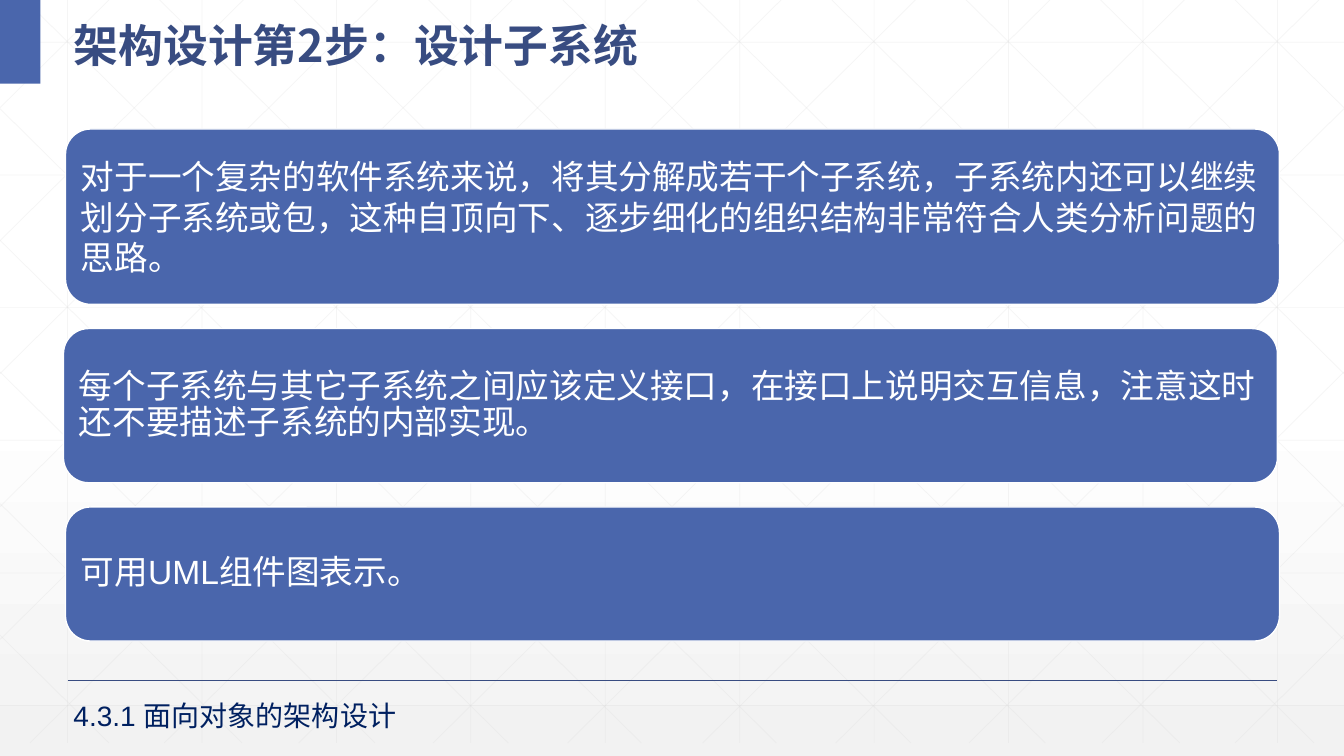
from copy import deepcopy
from dataclasses import dataclass

from lxml import etree
from pptx import Presentation
from pptx.dml.color import RGBColor
from pptx.enum import shapes, text
from pptx.oxml.ns import qn
from pptx.util import Inches, Pt

COLORS = {
    "white": "FFFFFF",
    "shade": "F2F2F2",
    "grid": "D9D9D9",
    "blue": "4A66AC",
    "title": "384C81",
    "navy": "002060",
}
WIDTH, HEIGHT = 13.33, 7.5
GRID_BOTTOM = 7.37
SLOPE = GRID_BOTTOM / 7.45
STEP_X, STEP_Y = 4 / 3, 1.316
CJK_FONT = "Noto Sans CJK SC"


@dataclass
class Card:
    left: float
    top: float
    height: float
    line_spacing: float
    words: str


CARDS = [
    Card(0.65, 1.28, 1.74, 1.0,
         "对于一个复杂的软件系统来说，将其分解成若干个子系统，子系统内还可以继续划分子系统或包，"
         "这种自顶向下、逐步细化的组织结构非常符合人类分析问题的思路。"),
    Card(0.63, 3.26, 1.53, 0.9,
         "每个子系统与其它子系统之间应该定义接口，在接口上说明交互信息，"
         "注意这时还不要描述子系统的内部实现。"),
    Card(0.65, 5.03, 1.33, 0.9, "可用UML组件图表示。"),
]
CARD_WIDTH, CARD_RADIUS, CARD_INSET = 12.04, 0.25, 0.08


def rgb(name: str) -> RGBColor:
    return RGBColor.from_string(COLORS[name])


def write(tf, words: str, size: int, color: str, font: str = "Arial",
          bold: bool = False, line_spacing: float = 1.0) -> None:
    tf.text = words
    tf.word_wrap = True
    p = tf.paragraphs[0]
    p.alignment = text.PP_ALIGN.LEFT
    p.line_spacing = line_spacing
    r = p.runs[0]
    r.font.size, r.font.bold, r.font.name = Pt(size), bold, font
    r.font.color.rgb = rgb(color)
    etree.SubElement(r.font._element, qn("a:ea")).set("typeface", CJK_FONT)


def add_line(s, x1: float, y1: float, x2: float, y2: float,
             color: str, width: float, alpha: int = 100) -> None:
    line = s.shapes.add_connector(shapes.MSO_CONNECTOR.STRAIGHT,
                                  Inches(x1), Inches(y1), Inches(x2), Inches(y2))
    line.line.width = Pt(width)
    line.line.color.rgb = rgb(color)
    sp_pr = line._element.spPr
    etree.SubElement(sp_pr, qn("a:effectLst"))
    if alpha < 100:
        clr = sp_pr.find(".//" + qn("a:srgbClr"))
        etree.SubElement(clr, qn("a:alpha")).set("val", str(alpha * 1000))


def paint_background(s) -> None:
    fill = s.background.fill
    fill.gradient()
    fill.gradient_angle = 270
    stops = s._element.find(".//" + qn("a:gsLst"))
    stops.append(deepcopy(stops[-1]))
    for stop, (pos, color) in zip(fill.gradient_stops,
                                  [(0, "white"), (0.53, "white"), (1, "shade")]):
        stop.position = pos
        stop.color.rgb = rgb(color)


def draw_grid(s) -> None:
    """Faint verticals, horizontals and two mirrored families of diagonals."""
    lines = []
    for i in range(10):
        x = 0.67 + i * STEP_X
        lines.append((x, 0, x, GRID_BOTTOM))
    for i in range(6):
        y = 0.42 + i * STEP_Y
        lines.append((0, y, WIDTH, y))
    diagonals = []
    for i in range(10):
        x = 0.25 + i * STEP_X
        end = min(WIDTH, x + GRID_BOTTOM / SLOPE)
        diagonals.append((x, 0, end, (end - x) * SLOPE))
    for i in range(5):
        x = 1.08 + i * 1.32
        diagonals.append((x, GRID_BOTTOM, 0, GRID_BOTTOM - x * SLOPE))
    mirrored = [(WIDTH - x1, y1, WIDTH - x2, y2) for x1, y1, x2, y2 in diagonals]
    for ends in lines + diagonals + mirrored:
        add_line(s, *ends, color="grid", width=0.5, alpha=25)


def add_block(s, kind, left: float, top: float, width: float, height: float):
    sp = s.shapes.add_shape(kind, Inches(left), Inches(top), Inches(width), Inches(height))
    sp.shadow.inherit = False
    sp.fill.solid()
    sp.fill.fore_color.rgb = rgb("blue")
    return sp


def add_card(s, card: Card) -> None:
    sp = add_block(s, shapes.MSO_SHAPE.ROUNDED_RECTANGLE,
                   card.left, card.top, CARD_WIDTH, card.height)
    sp.adjustments[0] = CARD_RADIUS / card.height
    sp.line.color.rgb = rgb("white")
    sp.line.width = Pt(1)
    tf = sp.text_frame
    tf.margin_left = tf.margin_right = tf.margin_top = tf.margin_bottom = Inches(CARD_INSET)
    tf.vertical_anchor = text.MSO_ANCHOR.MIDDLE
    write(tf, card.words, 24, "white", line_spacing=card.line_spacing)


def place_title(s) -> None:
    title = s.shapes.title
    title.left, title.top = Inches(0.63), Inches(0)
    title.width, title.height = Inches(7.23), Inches(0.73)
    tf = title.text_frame
    tf.vertical_anchor = text.MSO_ANCHOR.MIDDLE
    tf.auto_size = text.MSO_AUTO_SIZE.NONE
    write(tf, "架构设计第2步：设计子系统", 32, "title", CJK_FONT, True, 1.3)
    s.shapes._spTree.append(title._element)  # in front of the grid


def main() -> None:
    prs = Presentation()
    prs.slide_width, prs.slide_height = Inches(WIDTH), Inches(HEIGHT)
    s = prs.slides.add_slide(prs.slide_layouts[5])
    paint_background(s)
    draw_grid(s)
    add_line(s, 0.67, 6.75, 12.67, 6.75, color="title", width=1)
    add_block(s, shapes.MSO_SHAPE.RECTANGLE, 0, 0, 0.4, 0.83).line.fill.background()
    place_title(s)
    for card in CARDS:
        add_card(s, card)
    section = s.shapes.add_textbox(Inches(0.63), Inches(6.88), Inches(4.69), Inches(0.44))
    write(section.text_frame, "4.3.1 面向对象的架构设计", 20, "navy")
    prs.save("out.pptx")


if __name__ == "__main__":
    main()
